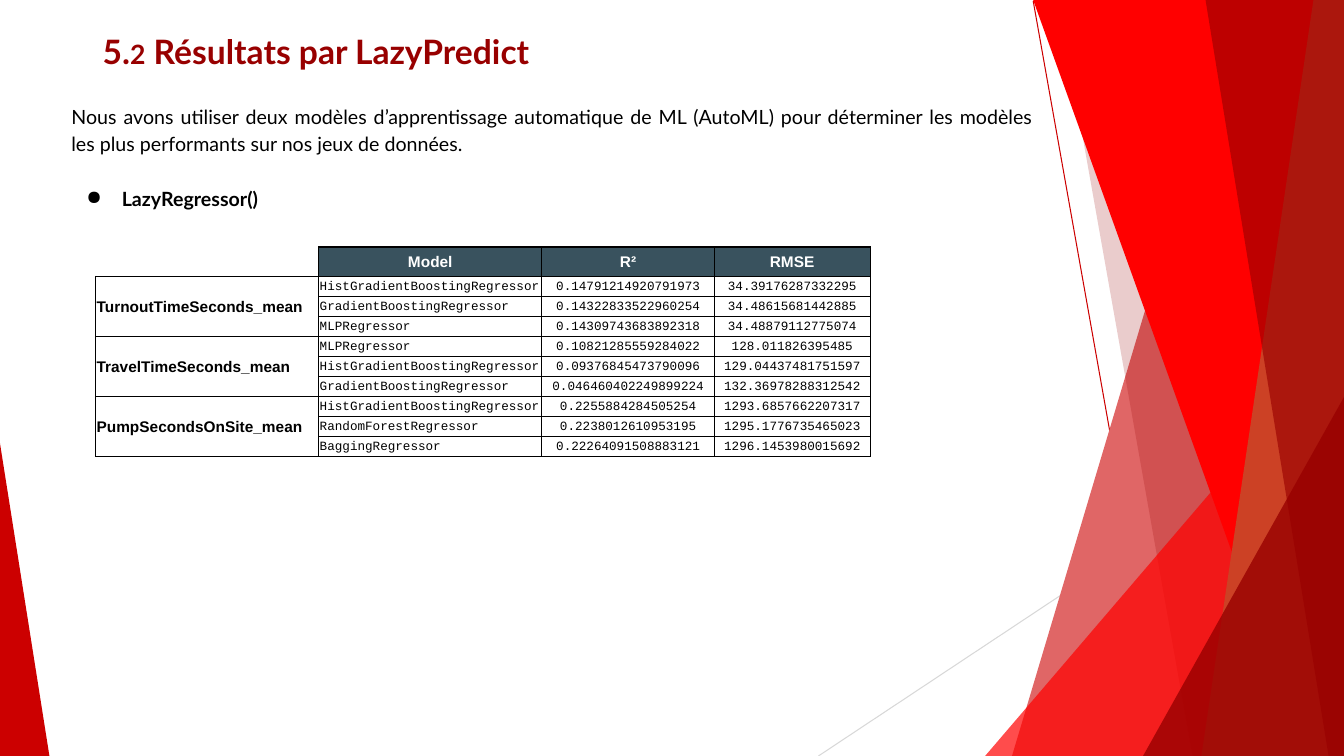
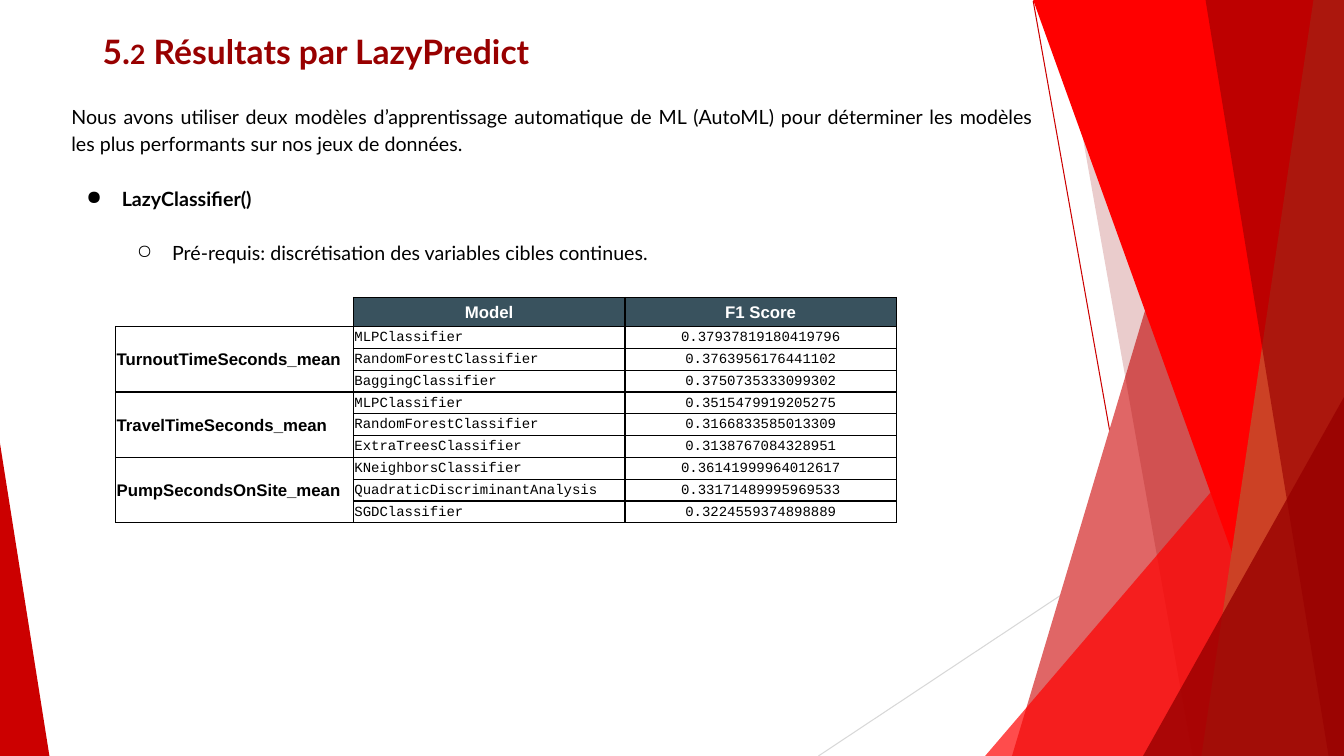
"""Build two slides of LazyPredict results over a shared red facet layout."""
from dataclasses import dataclass, field

from lxml.etree import SubElement
from pptx import Presentation
from pptx.dml.color import RGBColor
from pptx.enum.shapes import MSO_CONNECTOR, MSO_SHAPE
from pptx.enum.text import MSO_ANCHOR, MSO_AUTO_SIZE, PP_ALIGN
from pptx.oxml.ns import qn
from pptx.util import Pt


@dataclass(frozen=True)
class Theme:
    """Colours, fonts and type sizes."""
    ink: str = "000000"
    white: str = "FFFFFF"
    dark: str = "980000"
    red: str = "FF0000"
    deep: str = "CC0000"
    rose: str = "E06666"
    rust: str = "CC4125"
    grey: str = "D8D8D8"
    slate: str = "39525E"
    text: str = "Lato"
    head: str = "Arial"
    code: str = "Courier New"
    title: float = 24
    minor: float = 19
    body: float = 14
    grid: dict = field(default_factory=lambda: {"small": (11, 9), "large": (12, 10)})


THEME = Theme()
WIDE, HIGH = 960, 540

TITLE = (("5.", THEME.title), ("2", THEME.minor), (" Résultats par LazyPredict", THEME.title))
INTRO = ("Nous avons utiliser deux modèles d’apprentissage automatique de ML (AutoML) "
         "pour déterminer les modèles les plus performants sur nos jeux de données.")

SLIDES = [
    {
        "points": [("●", "LazyRegressor()", True)],
        "size": "small", "at": (68.3, 176.4), "cols": (159.4, 159.4, 123.1, 111.4),
        "rows": (21.1, 14.3),
        "heads": ("Model", "R²", "RMSE"),
        "groups": {
            "TurnoutTimeSeconds_mean": [
                ("HistGradientBoostingRegressor", "0.14791214920791973", "34.39176287332295"),
                ("GradientBoostingRegressor", "0.14322833522960254", "34.48615681442885"),
                ("MLPRegressor", "0.14309743683892318", "34.48879112775074")],
            "TravelTimeSeconds_mean": [
                ("MLPRegressor", "0.10821285559284022", "128.011826395485"),
                ("HistGradientBoostingRegressor", "0.09376845473790096", "129.04437481751597"),
                ("GradientBoostingRegressor", "0.046460402249899224", "132.36978288312542")],
            "PumpSecondsOnSite_mean": [
                ("HistGradientBoostingRegressor", "0.2255884284505254", "1293.6857662207317"),
                ("RandomForestRegressor", "0.2238012610953195", "1295.1776735465023"),
                ("BaggingRegressor", "0.22264091508883121", "1296.1453980015692")],
        },
    },
    {
        "points": [("●", "LazyClassifier()", True),
                   ("○", "Pré-requis: discrétisation des variables cibles continues.", False)],
        "size": "large", "at": (82.6, 212.4), "cols": (169.9, 193.9, 193.9),
        "rows": (20.8, 15.6),
        "heads": ("Model", "F1 Score"),
        "groups": {
            "TurnoutTimeSeconds_mean": [
                ("MLPClassifier", "0.37937819180419796"),
                ("RandomForestClassifier", "0.3763956176441102"),
                ("BaggingClassifier", "0.3750735333099302")],
            "TravelTimeSeconds_mean": [
                ("MLPClassifier", "0.3515479919205275"),
                ("RandomForestClassifier", "0.3166833585013309"),
                ("ExtraTreesClassifier", "0.3138767084328951")],
            "PumpSecondsOnSite_mean": [
                ("KNeighborsClassifier", "0.36141999964012617"),
                ("QuadraticDiscriminantAnalysis", "0.33171489995969533"),
                ("SGDClassifier", "0.3224559374898889")],
        },
    },
]

LINES = [((738, 0.7), (834, HIGH), THEME.deep), ((WIDE, 291), (584.6, HIGH), THEME.grey)]
RIGHT = ((WIDE, 0), (WIDE, HIGH))
FACETS = [
    ("free", ((884.2, 0), *RIGHT, (722.9, HIGH)), THEME.rose, 100),
    ("free", ((756, 0), *RIGHT, (851.8, HIGH)), THEME.dark, 20),
    ("wedge", (703.7, 240.5, WIDE, 1), THEME.red, 70),
    ("free", ((738, 0), *RIGHT, (932.4, HIGH)), THEME.red, 100),
    ("free", ((938.2, 0), *RIGHT, (858.2, HIGH)), THEME.rust, 100),
    ("free", ((861.1, 0), *RIGHT, (949, HIGH)), THEME.dark, 63),
    ("wedge", (816.5, 283.7, WIDE, 1), THEME.dark, 80),
    ("wedge", (0, 316.8, 35.3, 0), THEME.deep, 100),
]


def apply(thing, values):
    """Set each named attribute."""
    for name, value in values.items():
        setattr(thing, name, value)


def write(para, text, face, size, color, bold=False):
    """Add one styled run."""
    run = para.add_run()
    run.text = text
    apply(run.font, {"name": face, "size": Pt(size), "bold": bold})
    run.font.color.rgb = RGBColor.from_string(color)


def paint(shape, color, alpha):
    """Fill a shape flat, with optional opacity."""
    shape.shadow.inherit = False
    shape.line.fill.background()
    shape.fill.solid()
    shape.fill.fore_color.rgb = RGBColor.from_string(color)
    if alpha < 100:
        tone = next(shape.element.spPr.iter(qn("a:srgbClr")))
        SubElement(tone, qn("a:alpha"), val=str(alpha * 1000))


def draw_line(shapes, start, end, color):
    """Draw one thin line."""
    line = shapes.add_connector(MSO_CONNECTOR.STRAIGHT, *map(Pt, start + end))
    line.line.width = Pt(0.75)
    line.line.color.rgb = RGBColor.from_string(color)
    SubElement(line.element.spPr, qn("a:effectLst"))
    return line


def draw_facet(shapes, kind, data, color, alpha):
    """Draw one polygon or one right-angled wedge."""
    if kind == "free":
        spots = [(Pt(x), Pt(y)) for x, y in data]
        pen = shapes.build_freeform(*spots[0])
        shape = pen.add_line_segments(spots[1:], close=True).convert_to_shape()
    else:
        left, top, right, lean = data
        shape = shapes.add_shape(MSO_SHAPE.ISOSCELES_TRIANGLE,
                                 *map(Pt, (left, top, right - left, HIGH - top)))
        shape.adjustments[0] = lean
    paint(shape, color, alpha)
    return shape


def dress(layout, shapes):
    """Put the shared lines and facets on the layout."""
    for holder in list(layout.placeholders)[1:]:
        layout.shapes.element.remove(holder.element)
    parts = [draw_line(shapes, *line) for line in LINES]
    parts += [draw_facet(shapes, *facet) for facet in FACETS]
    for part in parts:
        layout.shapes.element.append(part.element)


def add_title(slide):
    """Place the title and write its runs."""
    title = slide.shapes.title
    apply(title, {"left": Pt(66.2), "top": Pt(0), "width": Pt(828), "height": Pt(77)})
    apply(title.text_frame, {"vertical_anchor": MSO_ANCHOR.MIDDLE, "word_wrap": True,
                             "auto_size": MSO_AUTO_SIZE.NONE})
    para = title.text_frame.paragraphs[0]
    apply(para, {"alignment": PP_ALIGN.LEFT, "line_spacing": 0.9})
    for text, size in TITLE:
        write(para, text, THEME.text, size, THEME.dark, True)


def add_body(slide, points):
    """Write the intro and its bullet points."""
    frame = slide.shapes.add_textbox(*map(Pt, (43.9, 69.1, 701.3, 470))).text_frame
    frame.word_wrap = True
    for level, (mark, text, bold) in enumerate([("", INTRO, False), *points]):
        para = frame.add_paragraph() if level else frame.paragraphs[0]
        if mark:
            props = para._p.get_or_add_pPr()
            apply(para, {"level": level - 1, "space_before": Pt(19.6)})
            props.set("marL", str(Pt(36 * level)))
            props.set("indent", str(Pt(-25.2)))
            SubElement(props, qn("a:buChar"), char=mark)
        apply(para, {"alignment": PP_ALIGN.JUSTIFY, "line_spacing": 1.15})
        write(para, text, THEME.text, THEME.body, THEME.ink, bold)


def edge(cell, sides):
    """Rule the named sides of a cell and clear the others."""
    props = cell._tc.get_or_add_tcPr()
    for side in "LRTB":
        line = SubElement(props, qn(f"a:ln{side}"), w=str(Pt(1)))
        if side in sides:
            SubElement(SubElement(line, qn("a:solidFill")), qn("a:srgbClr"), val=THEME.ink)
        else:
            SubElement(line, qn("a:noFill"))


def add_grid(slide, spec):
    """Build the table of scores."""
    large, small = spec["size"] and THEME.grid[spec["size"]]
    rows = [("", *spec["heads"])]
    for name, group in spec["groups"].items():
        rows += [("" if i else name, *row) for i, row in enumerate(group)]
    highs = [spec["rows"][0]] + [spec["rows"][1]] * (len(rows) - 1)
    size = (sum(spec["cols"]), sum(highs))
    table = slide.shapes.add_table(len(rows), len(spec["cols"]),
                                   *map(Pt, spec["at"] + size)).table
    apply(table, {"first_row": False, "horz_banding": False})
    for col, wide in zip(table.columns, spec["cols"]):
        col.width = Pt(wide)
    for r, (row, high) in enumerate(zip(rows, highs)):
        table.rows[r].height = Pt(high)
        for c, text in enumerate(row):
            cell = table.cell(r, c)
            edge(cell, "LRTB" if r or c else "RB")
            apply(cell, {"margin_left": Pt(0.72), "margin_right": Pt(0.72),
                         "margin_top": Pt(0.72), "margin_bottom": Pt(0),
                         "vertical_anchor": MSO_ANCHOR.MIDDLE})
            cell.fill.background()
            if not r and c:
                cell.fill.solid()
                cell.fill.fore_color.rgb = RGBColor.from_string(THEME.slate)
            para = cell.text_frame.paragraphs[0]
            para.font.size = Pt(small)
            mid = c > 1 or (c and not r)
            para.alignment = PP_ALIGN.CENTER if mid else PP_ALIGN.LEFT
            if text:
                bold = not r or not c
                write(para, text, THEME.head if bold else THEME.code,
                      large if bold else small, THEME.ink if r else THEME.white, bold)
    first = 1
    for group in spec["groups"].values():
        last = first + len(group) - 1
        table.cell(first, 0).merge(table.cell(last, 0))
        first = last + 1


def main():
    """Make the deck and save it."""
    deck = Presentation()
    apply(deck, {"slide_width": Pt(WIDE), "slide_height": Pt(HIGH)})
    layout = deck.slide_layouts[5]
    for i, spec in enumerate(SLIDES):
        slide = deck.slides.add_slide(layout)
        if not i:
            dress(layout, slide.shapes)
        add_title(slide)
        add_body(slide, spec["points"])
        add_grid(slide, spec)
    deck.save("out.pptx")


if __name__ == "__main__":
    main()
